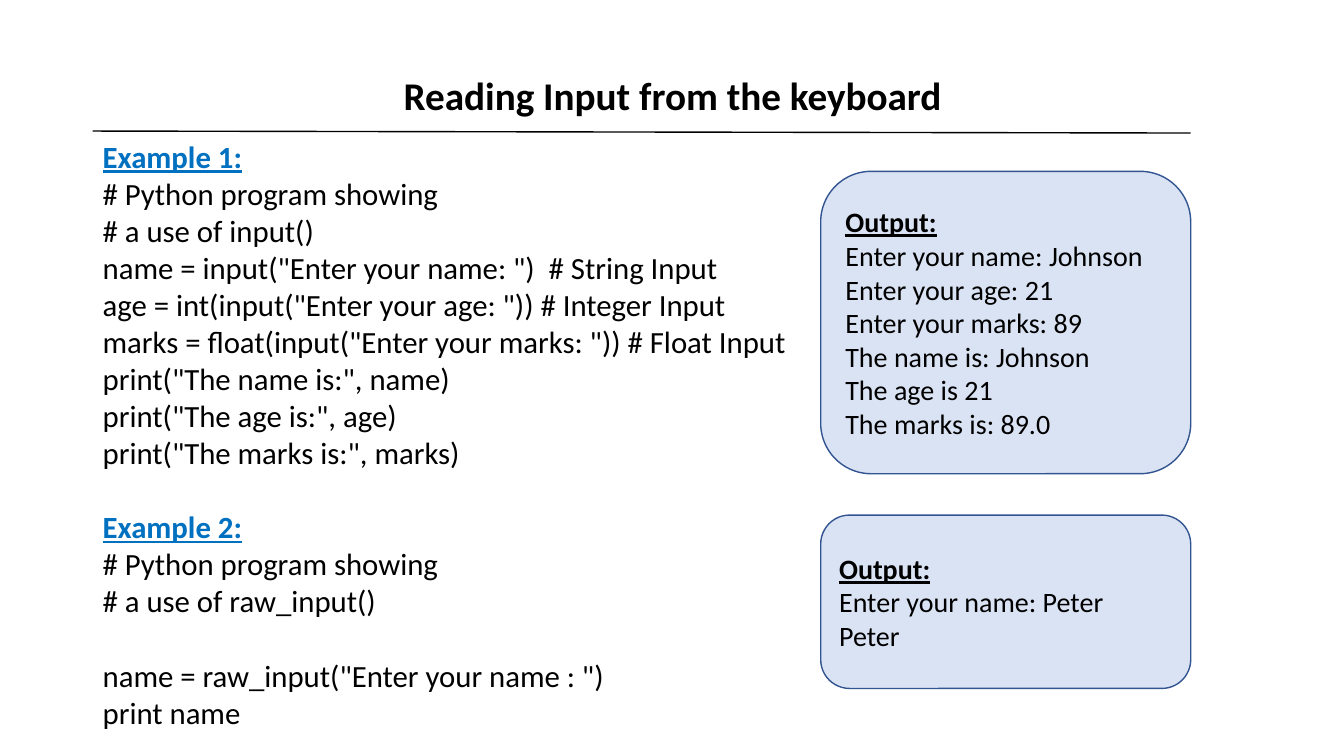
from lxml import etree
from pptx import Presentation
from pptx.dml.color import RGBColor
from pptx.enum.shapes import MSO_CONNECTOR, MSO_SHAPE
from pptx.enum.text import MSO_ANCHOR, PP_ALIGN
from pptx.oxml.ns import qn
from pptx.util import Emu, Pt

PX = 9144  # 100 px to the inch
FONT = "Calibri"
CODE_SIZE = 22
CODE_GAP = 26.85  # one line of code, in points
COLORS = {"text": "000000", "heading": "0070C0", "panel": "DAE3F3", "border": "325491"}

ROUNDED = MSO_SHAPE.ROUNDED_RECTANGLE
STRAIGHT = MSO_CONNECTOR.STRAIGHT
MIDDLE, TOP = MSO_ANCHOR.MIDDLE, MSO_ANCHOR.TOP
LEFT, CENTER = PP_ALIGN.LEFT, PP_ALIGN.CENTER

EXAMPLE_1 = [
    "# Python program showing",
    "# a use of input()",
    'name = input("Enter your name: ")  # String Input',
    'age = int(input("Enter your age: ")) # Integer Input',
    'marks = float(input("Enter your marks: ")) # Float Input',
    'print("The name is:", name)',
    'print("The age is:", age)',
    'print("The marks is:", marks)',
]
EXAMPLE_2_COMMENT = ["# Python program showing", "# a use of raw_input()"]
EXAMPLE_2_CODE = ['name = raw_input("Enter your name : ")', "print name"]
OUTPUT_1 = [
    "Enter your name: Johnson",
    "Enter your age: 21",
    "Enter your marks: 89",
    "The name is: Johnson",
    "The age is 21",
    "The marks is: 89.0",
]
OUTPUT_2 = ["Enter your name: Peter", "Peter"]


def px(*lengths):
    return [Emu(n * PX) for n in lengths]


def rgb(name):
    return RGBColor.from_string(COLORS[name])


def add_text(tf, text, size, color="text", bold=False, underline=False,
             align=LEFT, before=0):
    """Fill the first paragraph if it is still empty, else add one."""
    p = tf.paragraphs[0] if not tf.text else tf.add_paragraph()
    p.alignment = align
    if before:
        p.space_before = Pt(before)
    r = p.add_run()
    r.text = text
    r.font.name, r.font.size = FONT, Pt(size)
    r.font.bold, r.font.underline = bold, underline
    r.font.color.rgb = rgb(color)
    return p


def add_lines(tf, lines, size, before=0):
    for i, line in enumerate(lines):
        add_text(tf, line, size, before=0 if i else before)


def add_box(s, left, top, width, height, anchor=TOP):
    tf = s.shapes.add_textbox(*px(left, top, width, height)).text_frame
    tf.word_wrap = True
    tf.vertical_anchor = anchor
    return tf


def add_title(s, text):
    tf = add_box(s, 92, 63, 1150, 68, MIDDLE)
    tf.margin_left = tf.margin_right = tf.margin_top = tf.margin_bottom = 0
    p = add_text(tf, text, 28, bold=True, align=CENTER)
    p.line_spacing = 0.9
    p.space_after = Pt(6)


def add_rule(s, x1, y1, x2, y2):
    line = s.shapes.add_connector(STRAIGHT, *px(x1, y1, x2, y2))
    line.line.color.rgb = rgb("text")
    line.line.width = Pt(1)
    etree.SubElement(line._element.spPr, qn("a:effectLst"))


def add_output(s, top, height, lines):
    sp = s.shapes.add_shape(ROUNDED, *px(814, top, 367, height))
    sp.shadow.inherit = False
    sp.fill.solid()
    sp.fill.fore_color.rgb = rgb("panel")
    sp.line.color.rgb = rgb("border")
    sp.line.width = Pt(1)
    tf = sp.text_frame
    tf.word_wrap = True
    tf.vertical_anchor = MIDDLE
    add_text(tf, "Output:", 20, bold=True, underline=True)
    add_lines(tf, lines, 20)


def add_example(tf, heading, lines, before=0):
    add_text(tf, heading, CODE_SIZE, color="heading", bold=True,
             underline=True, before=before)
    add_lines(tf, lines, CODE_SIZE)


def main():
    prs = Presentation()
    prs.slide_width, prs.slide_height = px(1333, 750)
    s = prs.slides.add_slide(prs.slide_layouts[6])

    # Title and rule
    add_title(s, "Reading Input from the keyboard")
    add_rule(s, 92, 130, 1181, 132)

    # Code of both examples
    tf = add_box(s, 92, 132, 1090, 610)
    add_example(tf, "Example 1:", EXAMPLE_1)
    add_example(tf, "Example 2:", EXAMPLE_2_COMMENT, before=CODE_GAP)
    add_lines(tf, EXAMPLE_2_CODE, CODE_SIZE, before=CODE_GAP)

    # Output panels
    add_output(s, 170, 300, OUTPUT_1)
    add_output(s, 511, 172, OUTPUT_2)

    prs.save("out.pptx")


if __name__ == "__main__":
    main()
